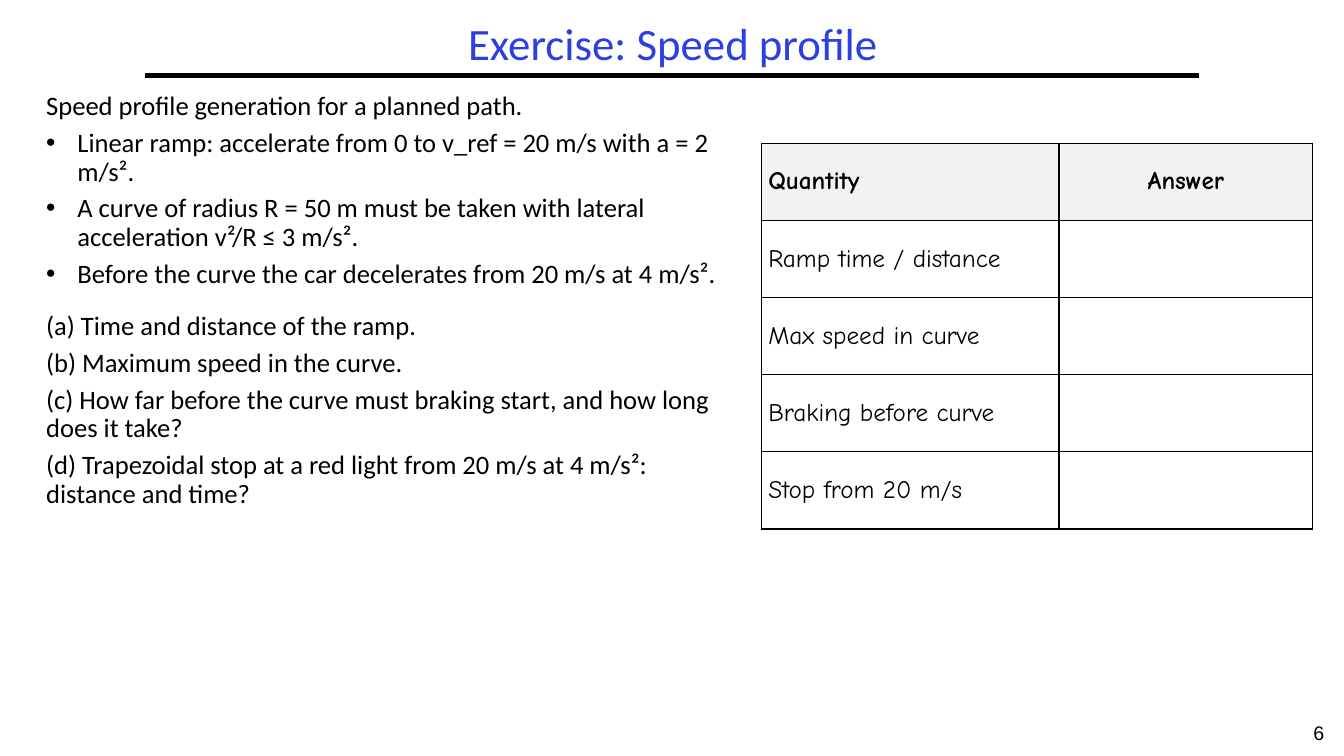
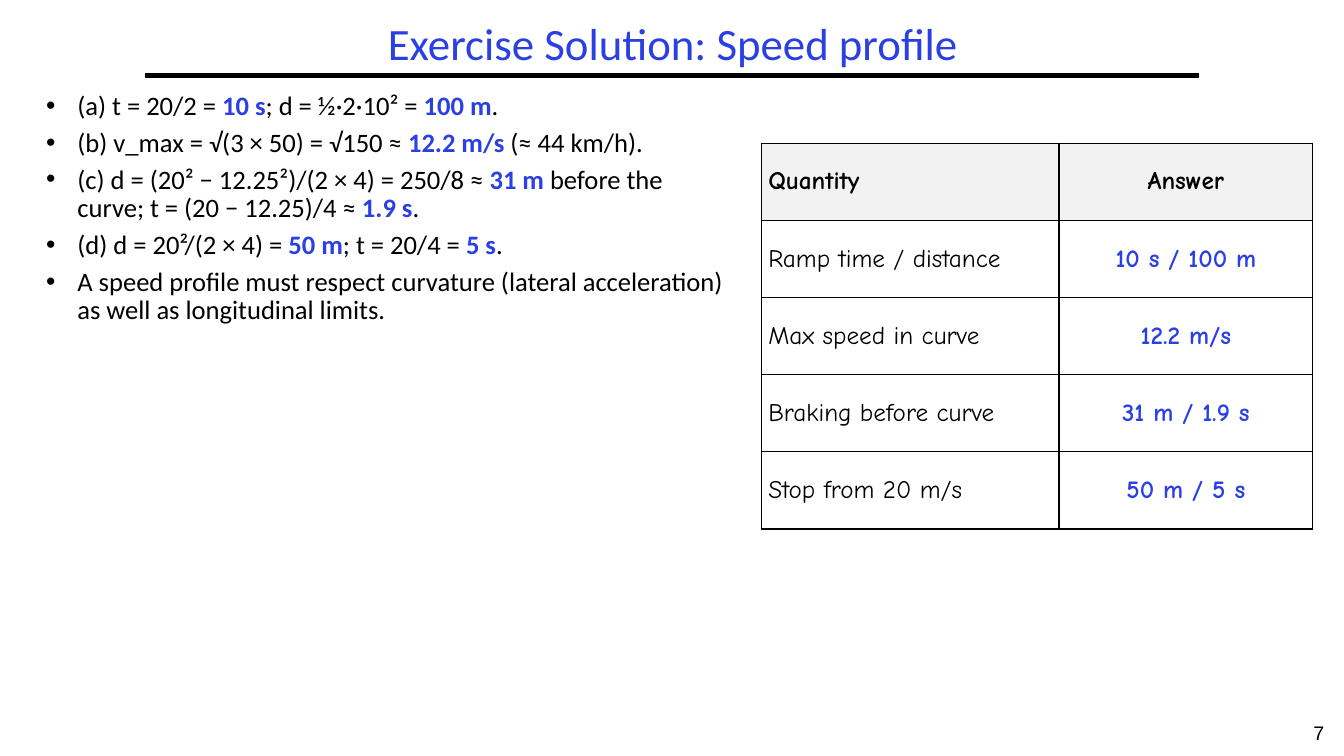
from lxml import etree
from pptx import Presentation
from pptx.dml.color import RGBColor
from pptx.enum.shapes import MSO_CONNECTOR as CONN
from pptx.enum.text import MSO_ANCHOR as ANCHOR, PP_ALIGN as ALIGN
from pptx.oxml import parse_xml
from pptx.oxml.ns import nsdecls, qn
from pptx.util import Inches, Pt

COLORS = {"text": "000000", "accent": "2A40E2", "header": "F2F2F2", "cell": "FFFFFF"}
FONTS = {"main": "Calibri", "table": "Comic Neue", "number": "Arial"}

# Regions: left, top, width, height
TITLE_BOX = (1.44, 0.17, 10.47, 0.58)
BODY_BOX = (0.36, 0.87, 7, 6.01)
TABLE_BOX = (7.55, 1.42, 5.47, 3.83)
NUMBER_BOX = (12.83, 7.1, 0.5, 0.4)

LABEL_SHARE = 0.54
INDENT = 0.31
SPACE, GROUP_SPACE = 5.7, 17

QUANTITIES = ["Ramp time / distance", "Max speed in curve",
              "Braking before curve", "Stop from 20 m/s"]

# Body paragraphs: (kind, text); *...* marks a result
SLIDES = [
    {"title": "Exercise: Speed profile",
     "number": 6,
     "body": [
         ("plain", "Speed profile generation for a planned path."),
         ("bullet", "Linear ramp: accelerate from 0 to v_ref = 20 m/s with a = 2 m/s²."),
         ("bullet", "A curve of radius R = 50 m must be taken with lateral "
                    "acceleration v²/R ≤ 3 m/s²."),
         ("bullet", "Before the curve the car decelerates from 20 m/s at 4 m/s²."),
         ("group", "(a) Time and distance of the ramp."),
         ("plain", "(b) Maximum speed in the curve."),
         ("plain", "(c) How far before the curve must braking start, and how long "
                   "does it take?"),
         ("plain", "(d) Trapezoidal stop at a red light from 20 m/s at 4 m/s²: "
                   "distance and time?")],
     "answers": [""] * 4},
    {"title": "Exercise Solution: Speed profile",
     "number": 7,
     "body": [
         ("bullet", "(a) t = 20/2 = *10 s*; d = ½·2·10² = *100 m*."),
         ("bullet", "(b) v_max = √(3 × 50) = √150 ≈ *12.2 m/s* (≈ 44 km/h)."),
         ("bullet", "(c) d = (20² − 12.25²)/(2 × 4) = 250/8 ≈ *31 m* before the "
                    "curve; t = (20 − 12.25)/4 ≈ *1.9 s*."),
         ("bullet", "(d) d = 20²/(2 × 4) = *50 m*; t = 20/4 = *5 s*."),
         ("bullet", "A speed profile must respect curvature (lateral acceleration) "
                    "as well as longitudinal limits.")],
     "answers": ["10 s / 100 m", "12.2 m/s", "31 m / 1.9 s", "50 m / 5 s"]},
]


def rgb(name):
    return RGBColor.from_string(COLORS[name])


def style_font(font, face, size, color="text", bold=False):
    font.name, font.size, font.bold = FONTS[face], Pt(size), bold
    font.color.rgb = rgb(color)


def add_textbox(slide, box):
    tf = slide.shapes.add_textbox(*map(Inches, box)).text_frame
    tf.word_wrap = True
    return tf


def add_line_of_text(slide, box, text, face, size, color="text"):
    tf = add_textbox(slide, box)
    p = tf.paragraphs[0]
    p.text, p.alignment = text, ALIGN.CENTER
    style_font(p.runs[0].font, face, size, color)
    return tf


def add_title(slide, box, text):
    tf = add_line_of_text(slide, box, text, "main", 32, "accent")
    tf.vertical_anchor = ANCHOR.MIDDLE
    tf.paragraphs[0].line_spacing = 0.9
    # Rule under the title
    left, top, width, height = box
    y = Inches(top + height)
    rule = slide.shapes.add_connector(CONN.STRAIGHT, Inches(left), y,
                                      Inches(left + width - 0.02), y)
    rule.line.color.rgb, rule.line.width = rgb("text"), Pt(3)
    etree.SubElement(rule._element.spPr, qn("a:effectLst"))


def add_bullet(p):
    pPr = p._p.get_or_add_pPr()
    pPr.set("marL", str(Inches(INDENT)))
    pPr.set("indent", str(-Inches(INDENT)))
    etree.SubElement(pPr, qn("a:buFont")).set("typeface", "Arial")
    etree.SubElement(pPr, qn("a:buChar")).set("char", "•")


def add_body(slide, box, paragraphs):
    tf = add_textbox(slide, box)
    for i, (kind, text) in enumerate(paragraphs):
        p = tf.add_paragraph() if i else tf.paragraphs[0]
        if kind == "bullet":
            add_bullet(p)
        p.line_spacing = 0.9
        if i:
            p.space_before = Pt(GROUP_SPACE if kind == "group" else SPACE)
        for j, part in enumerate(text.split("*")):
            r = p.add_run()
            r.text = part
            result = j % 2 == 1
            style_font(r.font, "main", 19, "accent" if result else "text", result)


def add_borders(cell):
    tcPr = cell._tc.get_or_add_tcPr()
    for i, side in enumerate(("lnL", "lnR", "lnT", "lnB")):
        tcPr.insert(i, parse_xml(
            f'<a:{side} {nsdecls("a")} w="{Pt(1)}"><a:solidFill>'
            f'<a:srgbClr val="{COLORS["text"]}"/></a:solidFill></a:{side}>'))


def add_answer_table(slide, box, answers):
    rows = [("Quantity", "Answer"), *zip(QUANTITIES, answers)]
    table = slide.shapes.add_table(len(rows), 2, *map(Inches, box)).table
    table.first_row = table.horz_banding = False
    width = box[2]
    for column, share in zip(table.columns, (LABEL_SHARE, 1 - LABEL_SHARE)):
        column.width = Inches(width * share)
    for i, row in enumerate(rows):
        for j, text in enumerate(row):
            cell = table.cell(i, j)
            cell.vertical_anchor = ANCHOR.MIDDLE
            cell.margin_left = cell.margin_right = Inches(0.07)
            cell.margin_top = cell.margin_bottom = Inches(0.03)
            cell.fill.solid()
            cell.fill.fore_color.rgb = rgb("cell" if i else "header")
            add_borders(cell)
            p = cell.text_frame.paragraphs[0]
            p.text = text
            p.alignment = ALIGN.CENTER if j else ALIGN.LEFT
            for r in p.runs:
                style_font(r.font, "table", 18, "accent" if i and j else "text",
                           bold=i == 0 or j == 1)


def add_exercise_slide(prs, content):
    slide = prs.slides.add_slide(prs.slide_layouts[6])
    add_title(slide, TITLE_BOX, content["title"])
    add_line_of_text(slide, NUMBER_BOX, str(content["number"]), "number", 14)
    add_body(slide, BODY_BOX, content["body"])
    add_answer_table(slide, TABLE_BOX, content["answers"])


def main():
    prs = Presentation()
    prs.slide_width, prs.slide_height = Inches(13.33), Inches(7.5)
    for content in SLIDES:
        add_exercise_slide(prs, content)
    prs.save("out.pptx")


if __name__ == "__main__":
    main()
